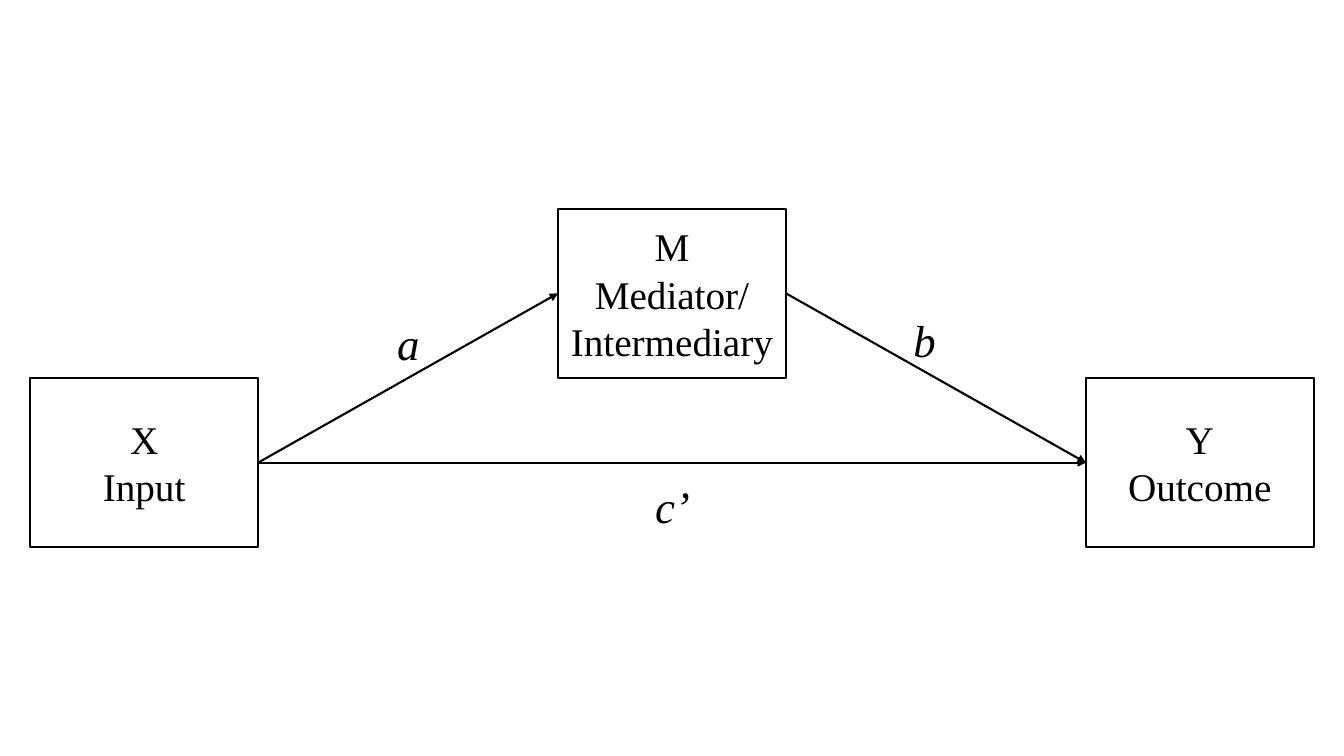
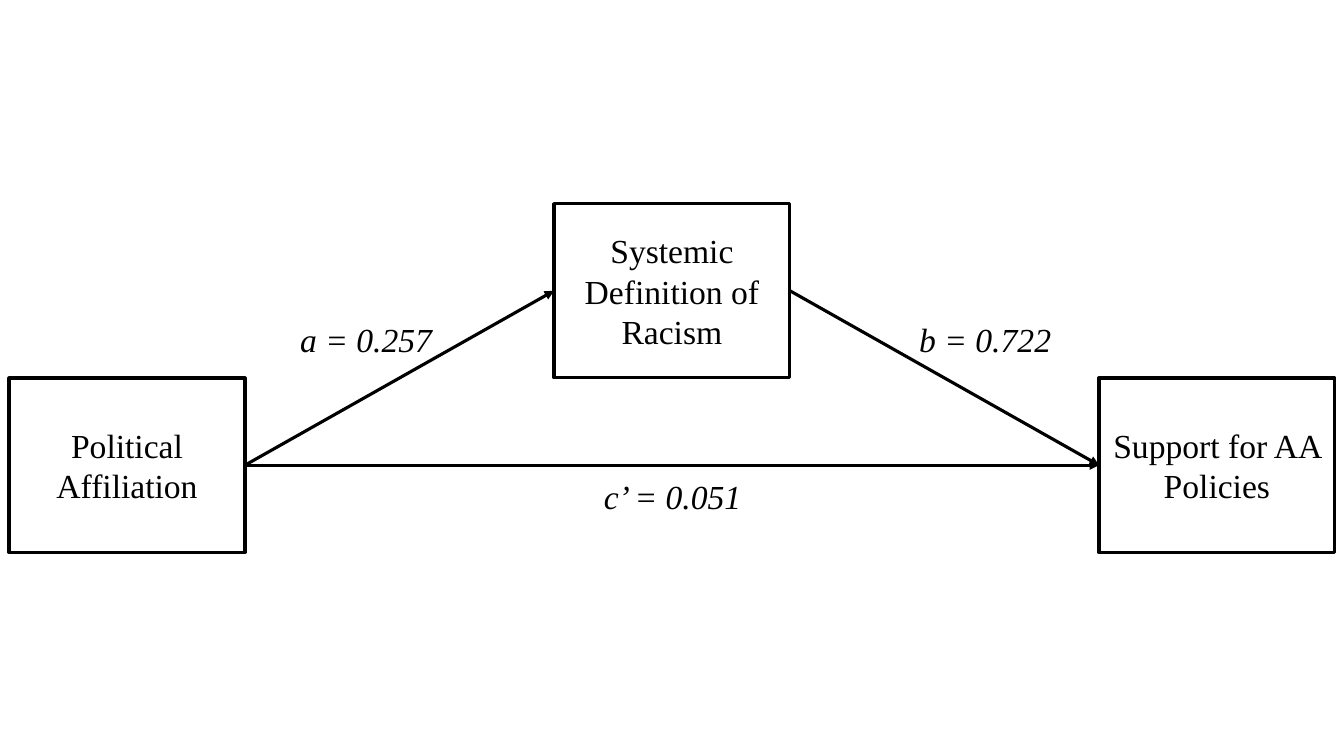
from dataclasses import dataclass

from pptx import Presentation
from pptx.dml.color import RGBColor
from pptx.enum.shapes import MSO_CONNECTOR, MSO_SHAPE
from pptx.enum.text import MSO_ANCHOR, PP_ALIGN
from pptx.oxml.ns import qn
from pptx.util import Inches, Pt
from lxml.etree import SubElement

# Content: boxes by role, and path labels with their centres in inches
DIAGRAMS = [
    {
        "boxes": {
            "mediator": "M\nMediator/\vIntermediary",
            "outcome": "Y\nOutcome",
            "input": "X\nInput",
        },
        "labels": [("b", 9.17, 3.37), ("a", 4.05, 3.40), ("c’", 6.67, 5.02)],
        "box_size": (2.26, 1.68), "margin": 0.3,
        "label_size": (0.55, 0.64),
        "line_width": 1.5, "box_font": 28, "label_font": 32,
    },
    {
        "boxes": {
            "mediator": "Systemic Definition of Racism",
            "outcome": "Support for AA Policies",
            "input": "Political Affiliation",
        },
        "labels": [("b = 0.722", 9.77, 3.36), ("a = 0.257", 3.63, 3.36),
                   ("c’ = 0.051", 6.67, 4.92)],
        "box_size": (2.34, 1.73), "margin": 0.09,
        "label_size": (1.49, 0.5),
        "line_width": 2.25, "box_font": 24, "label_font": 24,
    },
]
PATHS = [("mediator", "outcome"), ("input", "mediator"), ("input", "outcome")]
LEFT_SIDE, RIGHT_SIDE = 1, 3  # connection sites of a rectangle


@dataclass(frozen=True)
class Theme:
    width: float = 13.33
    height: float = 7.5
    font: str = "Times New Roman"
    ink: RGBColor = RGBColor(0, 0, 0)
    paper: RGBColor = RGBColor(255, 255, 255)


THEME = Theme()


def write(frame, text, size, italic=False):
    frame.text = text
    for paragraph in frame.paragraphs:
        paragraph.alignment = PP_ALIGN.CENTER
        font = paragraph.font
        font.name, font.size, font.italic = THEME.font, Pt(size), italic
        font.color.rgb = THEME.ink


def style_line(line, width):
    line.color.rgb = THEME.ink
    line.width = Pt(width)


def add_box(slide, text, left, top, diagram):
    width, height = diagram["box_size"]
    box = slide.shapes.add_shape(MSO_SHAPE.RECTANGLE, Inches(left), Inches(top),
                                 Inches(width), Inches(height))
    box.shadow.inherit = False
    box.fill.solid()
    box.fill.fore_color.rgb = THEME.paper
    style_line(box.line, diagram["line_width"])
    box.text_frame.vertical_anchor = MSO_ANCHOR.MIDDLE
    write(box.text_frame, text, diagram["box_font"])
    return box


def add_arrow(slide, source, target, width):
    arrow = slide.shapes.add_connector(MSO_CONNECTOR.STRAIGHT, 0, 0, 0, 0)
    arrow.begin_connect(source, RIGHT_SIDE)
    arrow.end_connect(target, LEFT_SIDE)
    style_line(arrow.line, width)
    SubElement(arrow.line._get_or_add_ln(), qn("a:tailEnd"), type="triangle")
    SubElement(arrow._element.spPr, qn("a:effectLst"))


def add_label(slide, text, center_x, center_y, diagram):
    width, height = diagram["label_size"]
    label = slide.shapes.add_textbox(
        Inches(center_x - width / 2), Inches(center_y - height / 2),
        Inches(width), Inches(height))
    frame = label.text_frame
    frame.margin_left = frame.margin_right = 0
    frame.word_wrap = True
    write(frame, text, diagram["label_font"], italic=True)


def add_diagram(slide, diagram):
    # The mediator stands on the slide's middle line, the others hang below it
    width, height = diagram["box_size"]
    middle = THEME.height / 2
    places = {
        "mediator": ((THEME.width - width) / 2, middle - height),
        "outcome": (THEME.width - diagram["margin"] - width, middle),
        "input": (diagram["margin"], middle),
    }
    boxes = {role: add_box(slide, text, *places[role], diagram)
             for role, text in diagram["boxes"].items()}
    for source, target in PATHS:
        add_arrow(slide, boxes[source], boxes[target], diagram["line_width"])
    for text, center_x, center_y in diagram["labels"]:
        add_label(slide, text, center_x, center_y, diagram)


deck = Presentation()
deck.slide_width, deck.slide_height = Inches(THEME.width), Inches(THEME.height)
blank_layout = deck.slide_layouts[6]
for diagram in DIAGRAMS:
    add_diagram(deck.slides.add_slide(blank_layout), diagram)
deck.save("out.pptx")
